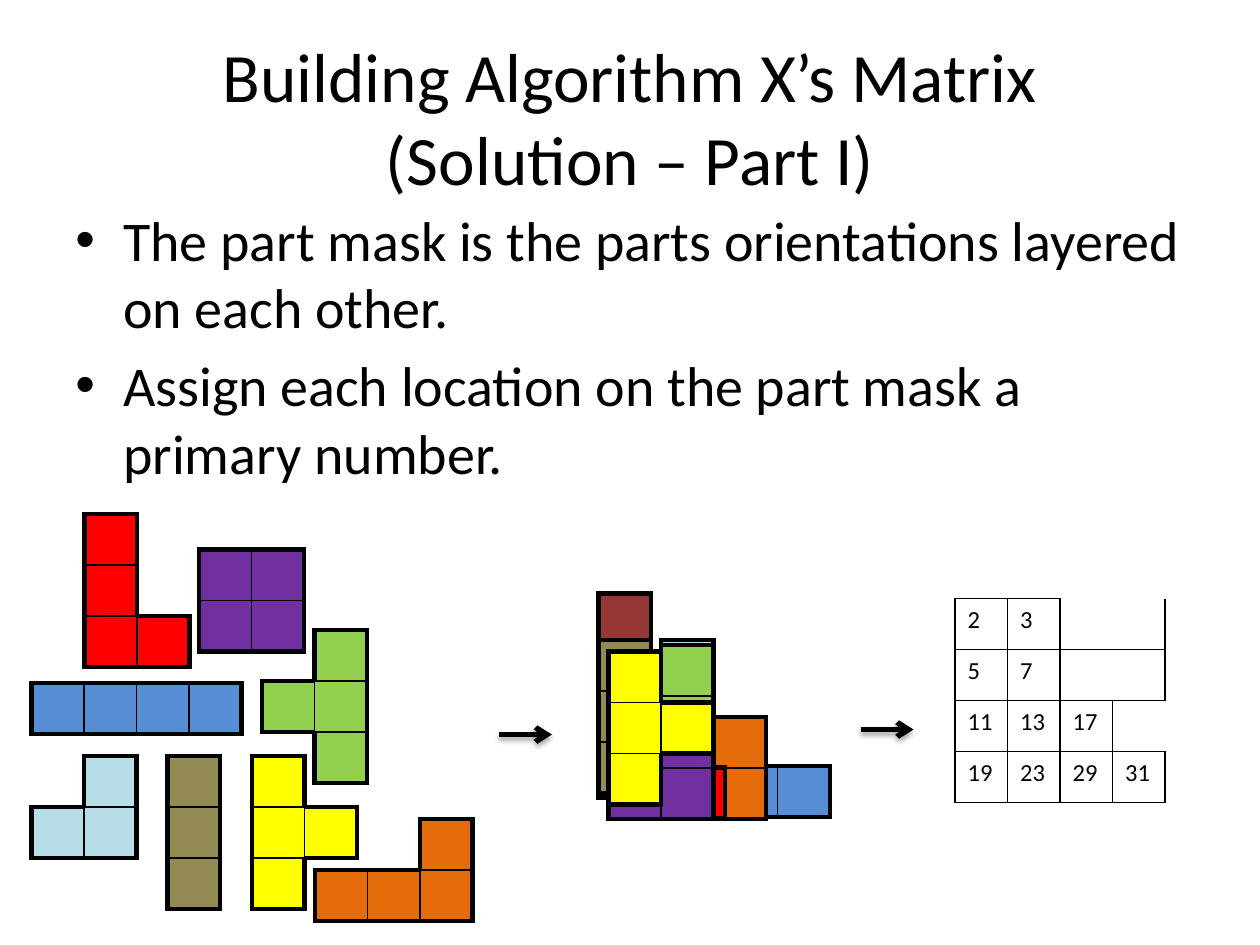
from lxml import etree
from pptx import Presentation
from pptx.dml.color import RGBColor
from pptx.enum.shapes import MSO_CONNECTOR
from pptx.enum.text import MSO_ANCHOR, PP_ALIGN
from pptx.oxml import parse_xml
from pptx.oxml.ns import nsdecls, qn
from pptx.util import Inches, Pt

LINE = MSO_CONNECTOR.STRAIGHT
MID = MSO_ANCHOR.MIDDLE
MIDDLE = PP_ALIGN.CENTER
HUES = {
    "black": "000000", "white": "FFFFFF", "brown": "953735",
    "sky": "B7DEE8", "blue": "558ED5", "orange": "E46C0A",
    "red": "FF0000", "green": "92D050", "olive": "948A54",
    "purple": "7030A0", "yellow": "FFFF00",
}
TILES = {
    "brown": "# / # / # / #",
    "sky": ". # / # #",
    "blue": "# # # #",
    "orange": ". . # / # # #",
    "red": "# . / # . / # #",
    "green": ". # / # # / . #",
    "olive": "# / # / #",
    "purple": "# # / # #",
    "yellow": "# . / # # / # .",
}
PADDED = ("sky", "orange")
SPREAD = [
    ("red", 0.67, 4.08), ("blue", 0.25, 5.42), ("green", 2.08, 5),
    ("olive", 1.33, 6), ("sky", 0.25, 6), ("purple", 1.58, 4.36),
    ("orange", 2.5, 6.5), ("yellow", 2, 6),
]
STACK = [
    ("brown", 4.75, 4.71), ("sky", 4.83, 5.08), ("blue", 4.92, 6.08),
    ("orange", 4.83, 5.69), ("red", 4.92, 5.28), ("green", 4.83, 5.12),
    ("olive", 4.75, 5.08), ("purple", 4.83, 5.69), ("yellow", 4.83, 5.17),
]
PRIMES = "2 3 - - / 5 7 - - / 11 13 17 . / 19 23 29 31"
WIDE, HIGH = 1.25 / 3, 1.62 / 4
SIDES = {"L": (0, -1), "R": (0, 1), "T": (-1, 0), "B": (1, 0)}


class Board:
    """Holds the style and the current slide, and draws its elements."""

    def __init__(self, slide, font="Calibri"):
        self.slide, self.font = slide, font

    def run(self, para, text, size):
        run = para.add_run()
        run.text = text
        run.font.name, run.font.size = self.font, Pt(size)
        run.font.color.rgb = RGBColor.from_string(HUES["black"])

    def title(self, lines, box):
        head = self.slide.shapes.title
        head.left, head.top, head.width, head.height = map(Inches, box)
        head.text_frame.vertical_anchor = MID
        para = head.text_frame.paragraphs[0]
        para.alignment = MIDDLE
        for i, line in enumerate(lines):
            if i:
                para.add_line_break()
            self.run(para, line, 39.6)

    def points(self, items, box):
        frame = self.slide.shapes.add_textbox(*map(Inches, box)).text_frame
        frame.word_wrap = True
        for i, item in enumerate(items):
            para = frame.add_paragraph() if i else frame.paragraphs[0]
            para.space_before = Pt(6.4)
            self.run(para, item, 32)
            props = para._p.get_or_add_pPr()
            props.set("marL", str(Inches(0.38)))
            props.set("indent", str(Inches(-0.38)))
            etree.SubElement(props, qn("a:buFont")).set("typeface", "Arial")
            etree.SubElement(props, qn("a:buChar")).set("char", "•")

    def edge(self, cell, side, width):
        props = cell._tc.get_or_add_tcPr()
        line = etree.SubElement(props, qn(f"a:ln{side}"), w=str(Pt(width)))
        if width:
            fill = etree.SubElement(line, qn("a:solidFill"))
            etree.SubElement(fill, qn("a:srgbClr"), val=HUES["black"])
        else:
            etree.SubElement(line, qn("a:noFill"))

    def grid(self, marks, left, top, hue, rim, pad):
        rows = [row.split() for row in marks.split("/")]
        deep, span = len(rows), len(rows[0])
        table = self.slide.shapes.add_table(
            deep, span, Inches(left), Inches(top),
            Inches(WIDE * span), Inches(HIGH * deep)).table
        table.first_row = table.horz_banding = False
        for col in table.columns:
            col.width = Inches(WIDE)
        for row in table.rows:
            row.height = Inches(HIGH)

        def mark(r, c):
            return rows[r][c] if 0 <= r < deep and 0 <= c < span else "."

        for r in range(deep):
            for c in range(span):
                cell, here = table.cell(r, c), mark(r, c)
                full = here not in ".-"
                for side, (down, over) in SIDES.items():
                    near = mark(r + down, c + over)
                    twin = near not in ".-"
                    inner = full and twin or here == near == "-"
                    self.edge(cell, side, 1 if inner else rim * (full or twin))
                if full or pad:
                    cell.fill.solid()
                    shade = HUES[hue if full else "white"]
                    cell.fill.fore_color.rgb = RGBColor.from_string(shade)
                else:
                    cell.fill.background()
                if here.isdigit():
                    self.run(cell.text_frame.paragraphs[0], here, 14)
                else:
                    cell.margin_top = cell.margin_bottom = 0
        for r, row in enumerate(rows):
            if "-" in row:
                table.cell(r, row.index("-")).merge(table.cell(r, span - 1))

    def tile(self, hue, left, top):
        self.grid(TILES[hue], left, top, hue, 3, hue in PADDED)

    def arrow(self, left, top, reach):
        line = self.slide.shapes.add_connector(
            LINE, *map(Inches, (left, top, left + reach, top)))
        line.line.width = Pt(3)
        line.line.color.rgb = RGBColor.from_string(HUES["black"])
        props = line._element.spPr
        tip = etree.SubElement(props.get_or_add_ln(), qn("a:tailEnd"))
        tip.set("type", "arrow")
        props.append(parse_xml(
            f'<a:effectLst {nsdecls("a")}><a:outerShdw blurRad="{Pt(3.1)}" '
            f'dist="{Pt(1.8)}" dir="5400000" rotWithShape="0">'
            f'<a:srgbClr val="{HUES["black"]}"><a:alpha val="35000"/>'
            '</a:srgbClr></a:outerShdw></a:effectLst>'))


def main():
    deck = Presentation()
    deck.slide_width, deck.slide_height = Inches(10), Inches(7.5)
    board = Board(deck.slides.add_slide(deck.slide_layouts[5]))
    board.title(["Building Algorithm X’s Matrix", "(Solution – Part I)"],
                (0.5, 0.3, 9, 1.25))
    board.points([
        "The part mask is the parts orientations layered on each other.",
        "Assign each location on the part mask a primary number.",
    ], (0.5, 1.58, 9, 4.95))
    for spot in SPREAD + STACK:
        board.tile(*spot)
    board.grid(PRIMES, 7.58, 4.75, "white", 1, True)
    board.arrow(3.96, 5.83, 0.42)
    board.arrow(6.83, 5.79, 0.42)
    deck.save("out.pptx")


if __name__ == "__main__":
    main()
